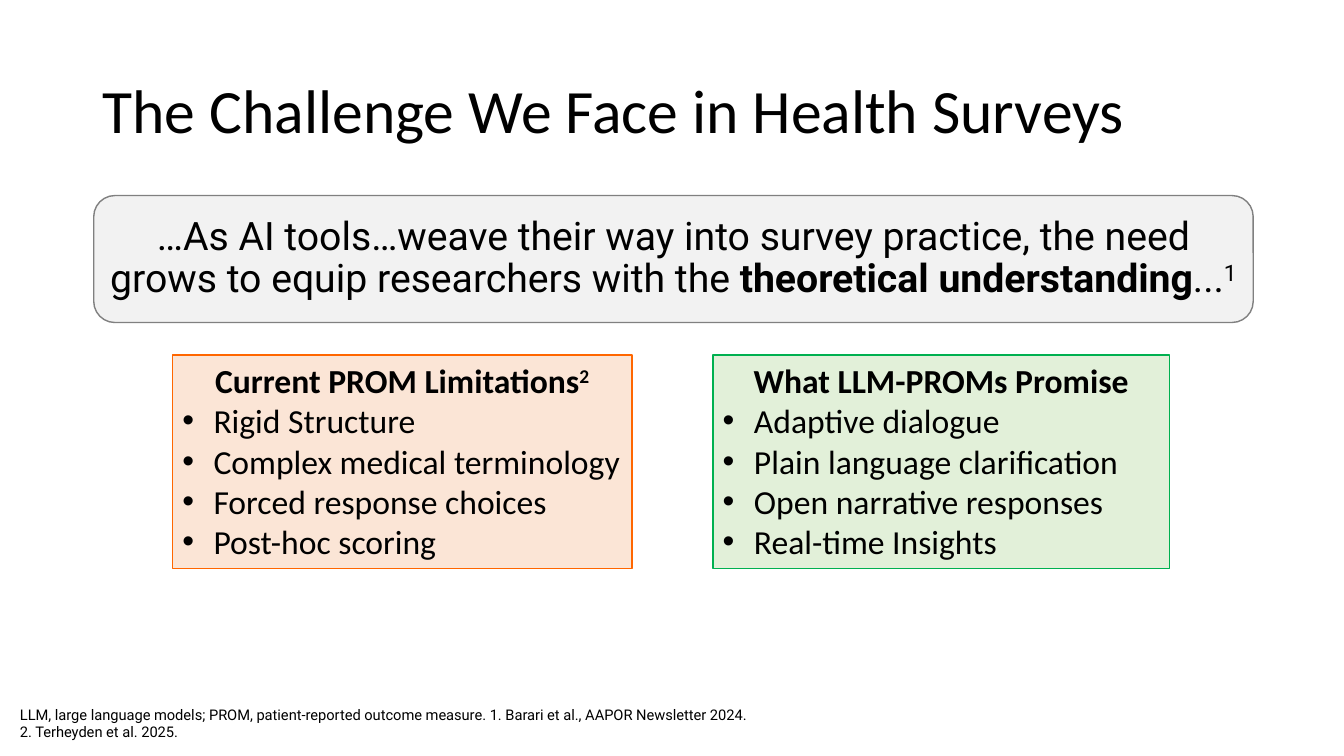
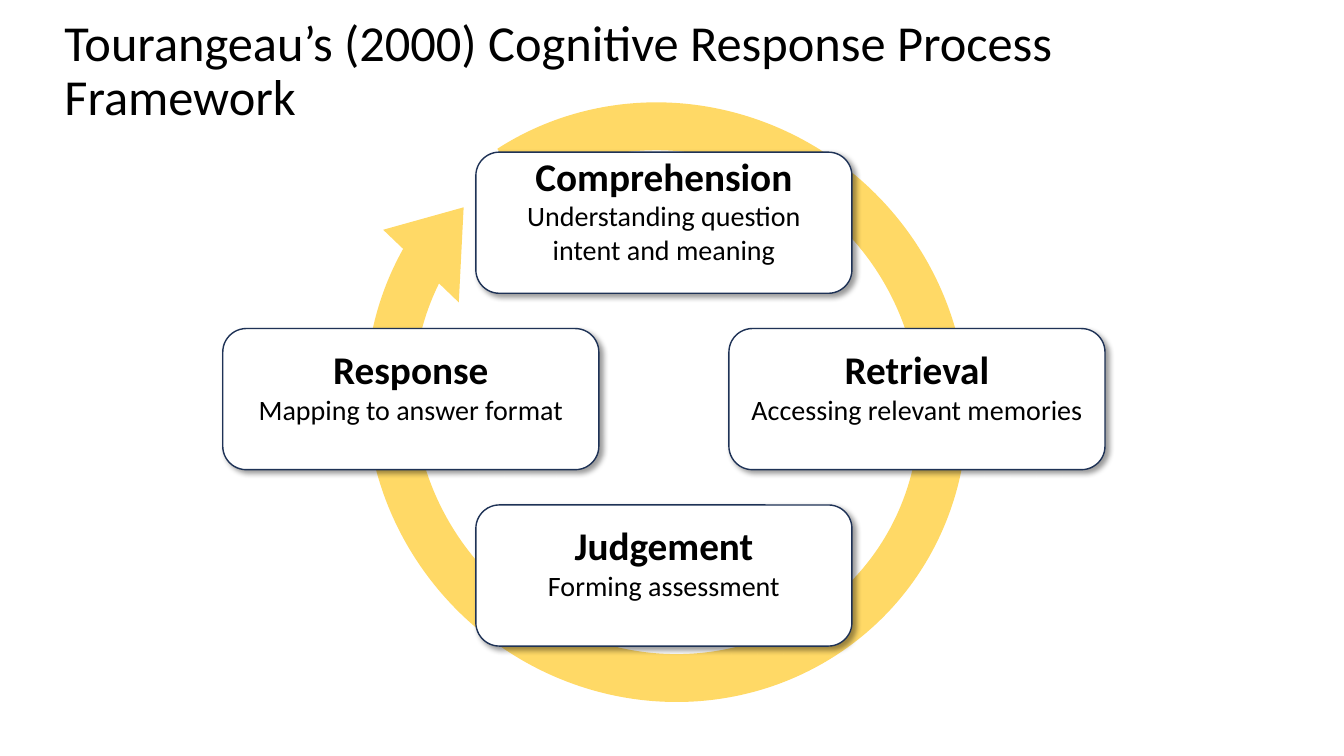
from lxml import etree
from pptx import Presentation
from pptx import util as u
from pptx.dml.color import RGBColor
from pptx.enum import shapes, text
from pptx.oxml import ns

BLACK, WHITE, GREY, NAVY, GOLD = "000000", "FFFFFF", "808080", "1E3256", "FFD966"
SANS, ROBOTO = "Calibri", "Roboto"
MID, TOP = text.MSO_ANCHOR.MIDDLE, text.MSO_ANCHOR.TOP
KIND = shapes.MSO_SHAPE


def rgb(code):
    return RGBColor.from_string(code)


def sub(node, tag, **attrs):
    return etree.SubElement(node, ns.qn(tag), attrs)


class Deck:
    def __init__(self):
        self.prs = Presentation()
        self.prs.slide_width = u.Inches(13.33)
        self.prs.slide_height = u.Inches(7.5)
        self.slide = None

    def page(self):
        self.slide = self.prs.slides.add_slide(self.prs.slide_layouts[6])

    def para(self, frame, runs, size, font=SANS, bold=False, center=False,
             bullet=False, tight=False):
        """Add a paragraph; runs is a string or (text, style) pairs, style "", "b" or "sup"."""
        first = frame.paragraphs[0]
        para = frame.add_paragraph() if first.runs else first
        para.alignment = text.PP_ALIGN.CENTER if center else text.PP_ALIGN.LEFT
        if tight:
            para.line_spacing = 0.9
        if bullet:
            props = para._p.get_or_add_pPr()
            indent = u.Inches(0.31)
            props.set("marL", str(indent))
            props.set("indent", str(-indent))
            sub(props, "a:buFont", typeface="Arial")
            sub(props, "a:buChar", char="•")
        face = para.font
        face.name, face.size, face.bold = font, u.Pt(size), bold
        face.color.rgb = rgb(BLACK)
        for words, style in [(runs, "")] if isinstance(runs, str) else runs:
            run = para.add_run()
            run.text = words
            if style == "b":
                run.font.bold = True
            elif style == "sup":
                run._r.get_or_add_rPr().set("baseline", "30000")

    def label(self, at, lines, size, anchor=TOP, **style):
        box = self.slide.shapes.add_textbox(*map(u.Inches, at))
        frame = box.text_frame
        frame.word_wrap, frame.vertical_anchor = True, anchor
        for line in lines:
            self.para(frame, line, size, **style)

    def title(self, at, words, size):
        self.label(at, [words], size, anchor=MID, tight=True)

    def shape(self, kind, at, fill, line=None, anchor=MID):
        item = self.slide.shapes.add_shape(kind, *map(u.Inches, at))
        item.shadow.inherit = False
        item.fill.solid()
        item.fill.fore_color.rgb = rgb(fill)
        if line:
            item.line.color.rgb = rgb(line)
            item.line.width = u.Pt(1)
        else:
            item.line.fill.background()
        item.text_frame.word_wrap = True
        item.text_frame.vertical_anchor = anchor
        return item

    def panel(self, at, fill, line, head, points):
        frame = self.shape(KIND.RECTANGLE, at, fill, line, TOP).text_frame
        self.para(frame, head, 24, bold=True, center=True)
        for point in points:
            self.para(frame, point, 24, bullet=True)

    def ring(self, at, turn, adjust):
        item = self.shape(KIND.CIRCULAR_ARROW, at, GOLD)
        item.rotation = turn
        for i, value in enumerate(adjust):
            item.adjustments[i] = value

    def card(self, at, head, note):
        item = self.shape(KIND.ROUNDED_RECTANGLE, at, WHITE, NAVY)
        effects = item._element.spPr.find(ns.qn("a:effectLst"))
        shade = sub(effects, "a:outerShdw", blurRad=str(u.Pt(4)), dist=str(u.Pt(3)),
                    dir=str(45 * 60000), algn="tl", rotWithShape="0")
        sub(sub(shade, "a:srgbClr", val=BLACK), "a:alpha", val="40000")
        frame = item.text_frame
        frame.margin_bottom = u.Inches(0.32)
        self.para(frame, head, 28, bold=True, center=True)
        self.para(frame, note, 20, center=True)


def survey(deck):
    deck.page()
    deck.title((0.92, 0.4, 11.5, 1.45), "The Challenge We Face in Health Surveys", 44)
    quote = deck.shape(KIND.ROUNDED_RECTANGLE, (0.93, 1.94, 11.5, 1.26), "F2F2F2", GREY)
    deck.para(quote.text_frame, [
        ("…As AI tools…weave their way into survey practice, the need grows "
         "to equip researchers with the ", ""),
        ("theoretical understanding", "b"), ("...", ""), ("1", "sup"),
    ], 28, font=ROBOTO, center=True, tight=True)
    deck.panel((1.71, 3.52, 4.56, 2.12), "FBE5D6", "FF6600",
               [("Current PROM Limitations", ""), ("2", "sup")],
               ["Rigid Structure", "Complex medical terminology",
                "Forced response choices", "Post-hoc scoring"])
    deck.panel((7.07, 3.52, 4.53, 2.12), "E2F0D9", "00B050",
               "What LLM-PROMs Promise",
               ["Adaptive dialogue", "Plain language clarification",
                "Open narrative responses", "Real-time Insights"])
    deck.label((0.1, 6.95, 8.44, 0.45), [
        "LLM, large language models; PROM, patient-reported outcome measure. "
        "1. Barari et al., AAPOR Newsletter 2024.",
        "2. Terheyden et al. 2025.",
    ], 10.5, font=ROBOTO)


def cycle(deck):
    deck.page()
    deck.title((0.54, 0.23, 12.29, 0.97),
               "Tourangeau’s (2000) Cognitive Response Process Framework", 36)
    deck.ring((3.4, 0.68, 6.42, 6.62), 133, (0.074, 8.909, 45.606, 61.96, 0.081))
    left, top, across, down = 4.72, 3.26, 2.51, 1.75
    for col, row, head, note in (
        (-1, 0, "Response", "Mapping to answer format"),
        (0, -1, "Comprehension", "Understanding question intent and meaning"),
        (0, 1, "Judgement", "Forming assessment"),
        (1, 0, "Retrieval", "Accessing relevant memories"),
    ):
        deck.card((left + col * across, top + row * down, 3.73, 1.4), head, note)


def main():
    deck = Deck()
    survey(deck)
    cycle(deck)
    deck.prs.save("out.pptx")


if __name__ == "__main__":
    main()
